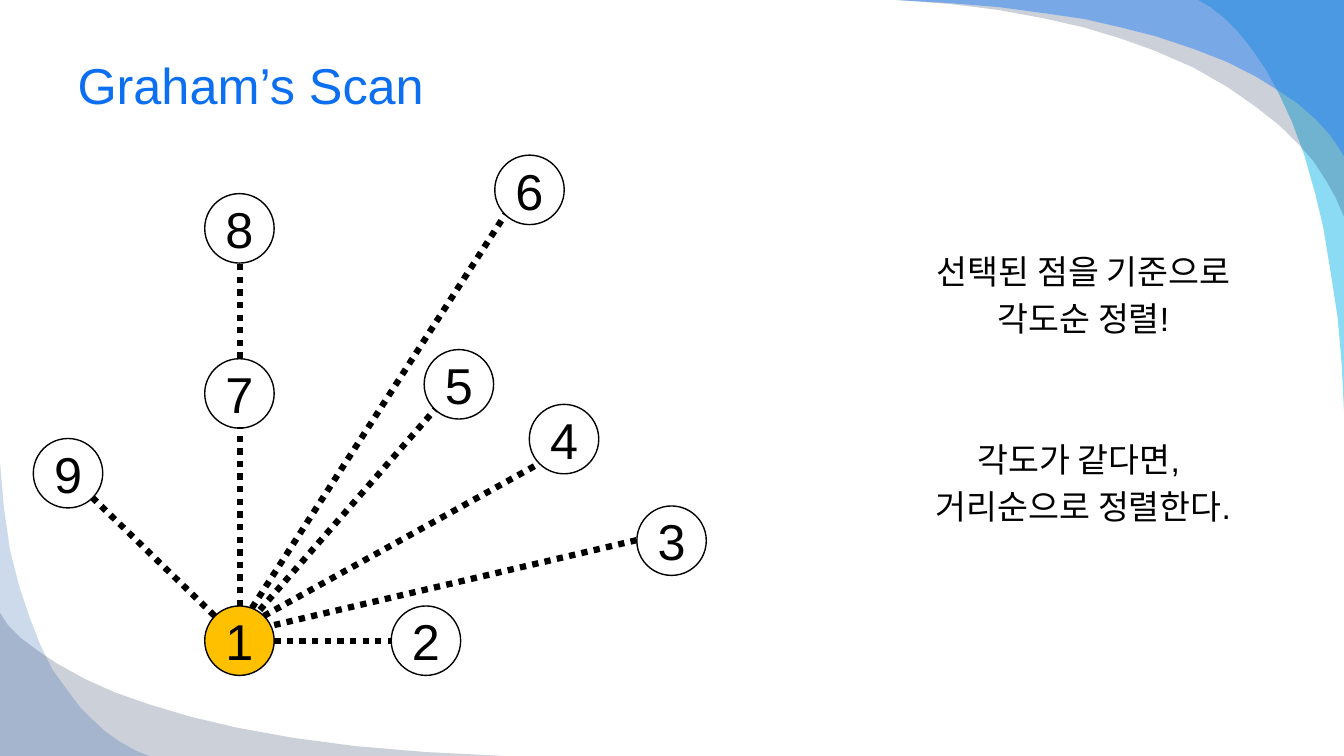
"""Builds the Graham's Scan slide: points sorted by angle around point 1."""
from lxml import etree
from pptx import Presentation
from pptx.dml.color import RGBColor
from pptx.enum.dml import MSO_LINE
from pptx.enum.shapes import MSO_CONNECTOR as LINK, MSO_SHAPE as SHAPE
from pptx.enum.text import MSO_ANCHOR as ANCHOR, PP_ALIGN as ALIGN
from pptx.oxml.ns import qn
from pptx.util import Cm, Pt

BLACK = RGBColor(0x00, 0x00, 0x00)
WHITE = RGBColor(0xFF, 0xFF, 0xFF)
AMBER = RGBColor(0xFF, 0xC0, 0x00)
BLUE = RGBColor(0x0C, 0x6F, 0xF2)
CYAN = RGBColor(0x00, 0xB1, 0xE9)
NAVY = RGBColor(0x02, 0x17, 0x41)
SKY = RGBColor(0x24, 0x7F, 0xF4)
ROYAL = RGBColor(0x08, 0x4A, 0xA1)


def style(par, size, color, align):
    par.alignment = align
    for run in par.runs:
        run.font.name = "Arial"
        run.font.size = Pt(size)
        run.font.color.rgb = color


deck = Presentation()
deck.slide_width, deck.slide_height = Cm(33.87), Cm(19.05)
slide = deck.slides.add_slide(deck.slide_layouts[5])
shapes = slide.shapes

TOP, LOW = (3387, 0), (0, 1905)
waves = [
    (CYAN, 45, TOP, [
        (3387, 1036), (3381, 914), (3371, 800), (3355, 696), (3335, 574),
        (3315, 490), (3287, 391), (3256, 307), (3223, 236), (3190, 175),
        (3150, 117), (3119, 79), (3086, 46), (3051, 18), (3020, 0)]),
    (NAVY, 20, TOP, [
        (2258, 0), (2393, 10), (2515, 25), (2629, 46), (2731, 69),
        (2824, 97), (2908, 127), (3007, 170), (3091, 218), (3162, 267),
        (3223, 315), (3272, 363), (3310, 406), (3343, 457), (3366, 498),
        (3387, 546)]),
    (SKY, 49, TOP, [
        (2258, 0), (2393, 8), (2517, 18), (2629, 33), (2733, 48),
        (2824, 69), (2911, 91), (3010, 124), (3094, 157), (3165, 193),
        (3223, 229), (3272, 262), (3317, 302), (3350, 338), (3373, 371),
        (3387, 394)]),
    (NAVY, 20, LOW, [
        (0, 1544), (20, 1575), (53, 1608), (97, 1641), (142, 1671),
        (216, 1712), (290, 1745), (376, 1775), (480, 1806), (599, 1834),
        (737, 1859), (894, 1880), (1072, 1895), (1270, 1905)]),
    (ROYAL, 20, LOW, [
        (0, 1163), (10, 1280), (25, 1384), (48, 1476), (74, 1554),
        (102, 1626), (132, 1687), (168, 1737), (201, 1781), (234, 1814),
        (264, 1842), (302, 1869), (343, 1892), (376, 1905)]),
]
for color, alpha, corner, curve in waves:
    pen = shapes.build_freeform(*corner, scale=Cm(0.01))
    pen.add_line_segments(curve, close=True)
    wave = pen.convert_to_shape()
    wave.shadow.inherit = False
    wave.fill.solid()
    wave.fill.fore_color.rgb = color
    wave.line.fill.background()
    tint = wave.fill._xPr.find(qn("a:solidFill"))[0]
    etree.SubElement(tint, qn("a:alpha")).set("val", str(alpha * 1000))

title = shapes.title
title.left, title.top = Cm(1.7), Cm(0.84)
title.width, title.height = Cm(30.48), Cm(2.57)
title.text_frame.text = "Graham’s Scan"
title.text_frame.vertical_anchor = ANCHOR.MIDDLE
style(title.text_frame.paragraphs[0], 36, BLUE, ALIGN.LEFT)

note = shapes.add_textbox(Cm(21.54), Cm(6.2), Cm(11.53), Cm(7.5))
frame = note.text_frame
frame.word_wrap = True
lines = [
    ("선택된 점을 기준으로", 0),
    ("각도순 정렬!", 4.8),
    ("각도가 같다면, ", 72),
    ("거리순으로 정렬한다.", 4.8),
]
frame.text = "\n".join(text for text, gap in lines)
for par, (text, gap) in zip(frame.paragraphs, lines):
    par.space_before = Pt(gap)
    style(par, 24, BLACK, ALIGN.CENTER)

nodes = {
    8: (5.16, 4.88), 3: (16.05, 12.75), 9: (0.84, 11.05),
    4: (13.34, 10.19), 2: (9.86, 15.27), 7: (5.16, 9.04),
    5: (10.69, 8.81), 1: (5.16, 15.27), 6: (12.47, 3.91),
}
for num, (left, top) in nodes.items():
    node = shapes.add_shape(SHAPE.OVAL, Cm(left), Cm(top), Cm(1.75), Cm(1.75))
    node.shadow.inherit = False
    node.fill.solid()
    node.fill.fore_color.rgb = AMBER if num == 1 else WHITE
    node.line.color.rgb = BLACK
    node.line.width = Pt(1)
    node.text_frame.text = str(num)
    node.text_frame.word_wrap = False
    node.text_frame.vertical_anchor = ANCHOR.MIDDLE
    style(node.text_frame.paragraphs[0], 36, BLACK, ALIGN.CENTER)

rays = [
    (6.91, 16.15, 9.86, 16.15),
    (6.91, 15.75, 16.05, 13.61),
    (6.65, 15.52, 13.59, 11.68),
    (6.55, 15.37, 10.97, 10.31),
    (6.35, 15.32, 12.73, 5.41),
    (6.04, 15.27, 6.04, 10.77),
    (6.04, 9.04, 6.04, 6.63),
    (5.41, 15.52, 2.34, 12.55),
]
for ends in rays:
    ray = shapes.add_connector(LINK.STRAIGHT, *[Cm(end) for end in ends])
    ray.line.color.rgb = BLACK
    ray.line.width = Pt(4.5)
    ray.line.dash_style = MSO_LINE.ROUND_DOT
    etree.SubElement(ray._element.spPr, qn("a:effectLst"))

deck.save("out.pptx")
